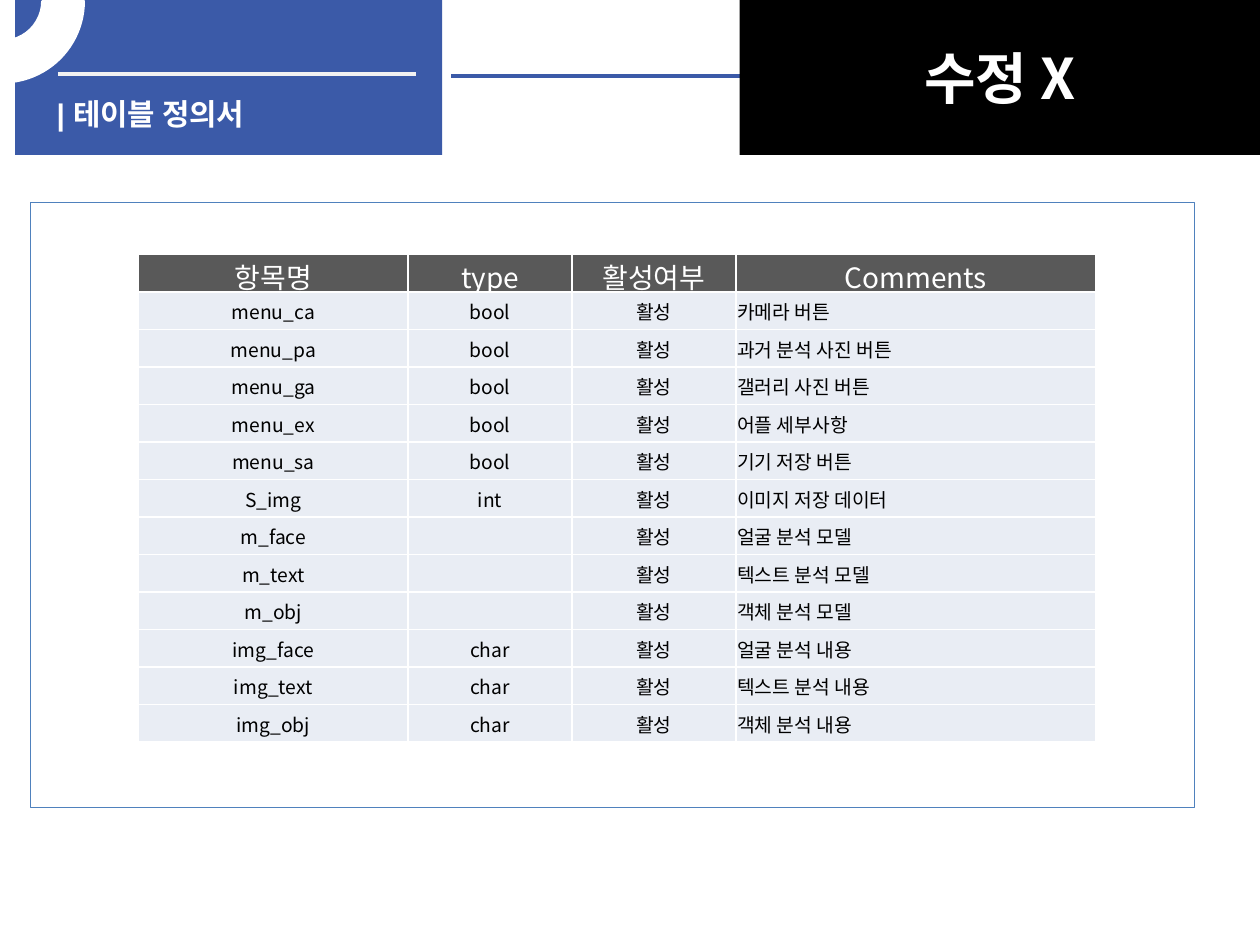
from lxml.etree import SubElement
from pptx import Presentation
from pptx.dml.color import RGBColor
from pptx.enum.shapes import MSO_CONNECTOR, MSO_SHAPE
from pptx.enum.text import MSO_ANCHOR, PP_ALIGN
from pptx.oxml import parse_xml
from pptx.oxml.ns import nsdecls, qn
from pptx.util import Inches, Pt

COLORS = {
    "banner": "3B5AA8",
    "rule": "F2F2F2",
    "white": "FFFFFF",
    "black": "000000",
    "frame": "4F81BD",
    "header": "595959",
    "body": "E9EDF4",
}
BODY_FONT = "Noto Sans CJK KR"
TITLE_FONT = "Arial"
COLUMNS, ROWS = 100, 75


class SlideBuilder:
    def __init__(self, deck):
        self.slide = deck.slides.add_slide(deck.slide_layouts[6])
        self.column = deck.slide_width / COLUMNS
        self.row = deck.slide_height / ROWS

    def place(self, left, top, width, height):
        return (round(left * self.column), round(top * self.row),
                round(width * self.column), round(height * self.row))

    def color(self, name):
        return RGBColor.from_string(COLORS[name])

    def label(self, paragraph, text, size, color, font=BODY_FONT, bold=False, align=PP_ALIGN.LEFT):
        paragraph.text = text
        paragraph.alignment = align
        for span in paragraph.runs:
            span.font.size = Pt(size)
            span.font.bold = bold
            span.font.name = font
            span.font.color.rgb = self.color(color)
            SubElement(span.font._element, qn("a:ea"), typeface=BODY_FONT)
        if not text:
            SubElement(paragraph._p, qn("a:endParaRPr"), sz=str(size * 100))

    def shape(self, kind, area, fill=None, line=None, weight=0.75):
        shape = self.slide.shapes.add_shape(kind, *self.place(*area))
        shape.shadow.inherit = False
        if fill:
            shape.fill.solid()
            shape.fill.fore_color.rgb = self.color(fill)
        else:
            shape.fill.background()
        if line:
            shape.line.color.rgb = self.color(line)
            shape.line.width = Pt(weight)
        else:
            shape.line.fill.background()
        return shape

    def ring(self, area, color):
        ring = self.shape(MSO_SHAPE.BLOCK_ARC, area, color, color, 2)
        for index, value in enumerate((161.59, 0, 0.25)):
            ring.adjustments[index] = value
        ring._element.spPr.find(qn("a:xfrm")).set("flipV", "1")

    def rule(self, left, right, top, color):
        x1, y, x2, _ = self.place(left, top, right, 0)
        line = self.slide.shapes.add_connector(MSO_CONNECTOR.STRAIGHT, x1, y, x2, y)
        line.line.color.rgb = self.color(color)
        line.line.width = Pt(2.25)
        SubElement(line._element.spPr, qn("a:effectLst"))

    def title(self, area, text):
        box = self.slide.shapes.add_textbox(*self.place(*area))
        frame = box.text_frame
        frame.word_wrap = True
        frame.margin_top = frame.margin_bottom = 0
        self.label(frame.paragraphs[0], text, 17, "white", TITLE_FONT, True)

    def badge(self, area, text):
        badge = self.shape(MSO_SHAPE.RECTANGLE, area, "black")
        badge.text_frame.vertical_anchor = MSO_ANCHOR.MIDDLE
        self.label(badge.text_frame.paragraphs[0], text, 32, "white",
                   bold=True, align=PP_ALIGN.CENTER)

    def cell(self, cell, text, size, color, fill, align):
        cell.margin_left = cell.margin_right = cell.margin_top = Inches(0.01)
        cell.margin_bottom = 0
        cell.vertical_anchor = MSO_ANCHOR.MIDDLE
        cell.fill.solid()
        cell.fill.fore_color.rgb = self.color(fill)
        for index, side in enumerate(("lnL", "lnR", "lnT", "lnB")):
            border = parse_xml(
                f'<a:{side} {nsdecls("a")} w="{Pt(1)}"><a:solidFill>'
                f'<a:srgbClr val="{COLORS["white"]}"/></a:solidFill></a:{side}>')
            cell._tc.get_or_add_tcPr().insert(index, border)
        self.label(cell.text_frame.paragraphs[0], text, size, color, align=align)

    def table(self, area, widths, records):
        place = self.place(*area)
        table = self.slide.shapes.add_table(len(records), len(widths), *place).table
        table.first_row = table.horz_banding = False
        for column, width in zip(table.columns, widths):
            column.width = round(width * self.column)
        for row_index, record in enumerate(records):
            table.rows[row_index].height = place[3] // len(records)
            is_header = row_index == 0
            style = (16, "white", "header") if is_header else (11, "black", "body")
            for column_index, text in enumerate(record):
                is_comment = column_index == len(widths) - 1 and not is_header
                align = PP_ALIGN.LEFT if is_comment else PP_ALIGN.CENTER
                self.cell(table.cell(row_index, column_index), text, *style, align)


FIELDS = [
    ("menu_ca", "bool", "카메라 버튼"),
    ("menu_pa", "bool", "과거 분석 사진 버튼"),
    ("menu_ga", "bool", "갤러리 사진 버튼"),
    ("menu_ex", "bool", "어플 세부사항"),
    ("menu_sa", "bool", "기기 저장 버튼"),
    ("S_img", "int", "이미지 저장 데이터"),
    ("m_face", "", "얼굴 분석 모델"),
    ("m_text", "", "텍스트 분석 모델"),
    ("m_obj", "", "객체 분석 모델"),
    ("img_face", "char", "얼굴 분석 내용"),
    ("img_text", "char", "텍스트 분석 내용"),
    ("img_obj", "char", "객체 분석 내용"),
]


def main():
    deck = Presentation()
    deck.slide_width, deck.slide_height = Inches(10), Inches(7.5)
    builder = SlideBuilder(deck)
    builder.shape(MSO_SHAPE.RECTANGLE, (1.2, 0, 33.9, 12.3), "banner")
    builder.rule(4.6, 33, 5.9, "rule")
    builder.rule(35.8, 94.1, 6, "banner")
    builder.title((3.5, 7.6, 31.5, 3.2), "| 테이블 정의서")
    builder.ring((-6.3, -6.3, 12.9, 12.8), "white")
    builder.shape(MSO_SHAPE.RECTANGLE, (2.4, 16.1, 92.4, 48), line="frame")
    records = [("항목명", "type", "활성여부", "Comments")]
    records += [(name, kind, "활성", comment) for name, kind, comment in FIELDS]
    builder.table((11, 20.2, 76, 38.7), (21.4, 13, 13, 28.6), records)
    builder.badge((58.7, 0, 41.3, 12.3), "수정 X")
    deck.save("out.pptx")


if __name__ == "__main__":
    main()
